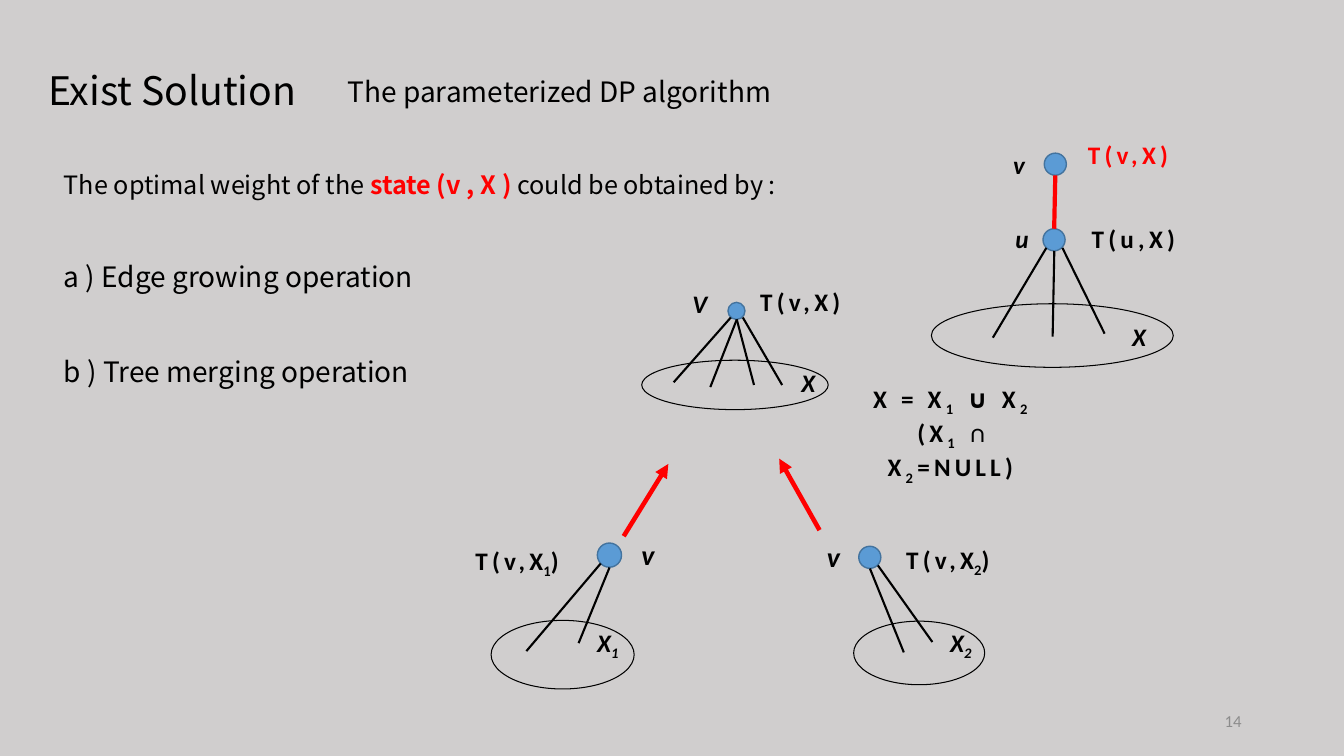
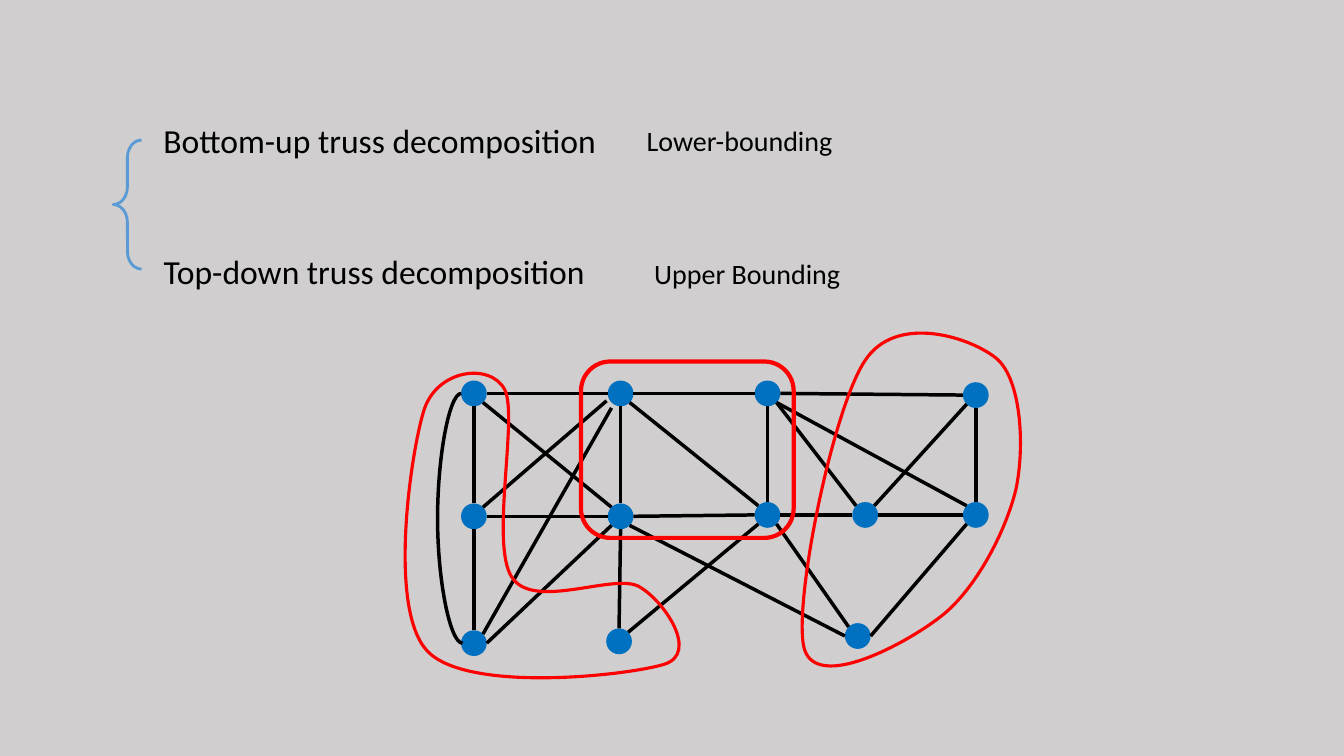
"""Builds two slides: the parameterized DP algorithm and truss decomposition."""
from lxml.etree import SubElement
from pptx import Presentation
from pptx.dml.color import RGBColor
from pptx.enum.shapes import MSO_CONNECTOR as LINK, MSO_SHAPE as PRESET
from pptx.enum.text import MSO_ANCHOR as ANCHOR, MSO_AUTO_SIZE as FIT, PP_ALIGN as ALIGN
from pptx.oxml.ns import qn
from pptx.shapes.connector import Connector
from pptx.util import Pt

THEME = {
    "back": "D0CECE", "ink": "000000", "red": "FF0000", "node": "5B9BD5",
    "node edge": "43739E", "dot": "0070C0", "muted": "8C8C8C",
    "title": 28, "heading": 24, "body": 20, "label": 18, "number": 12,
    "sans": "Calibri", "cjk": "Noto Sans CJK SC",
}
PROSE = {"name": THEME["cjk"], "size": THEME["body"], "color": THEME["ink"]}
PLAIN = {**PROSE, "name": THEME["sans"]}
LABEL = {**PLAIN, "size": THEME["label"], "bold": True, "spc": 300}
VERTEX = {**LABEL, "italic": True}
BIG_VERTEX = {**VERTEX, "size": THEME["body"]}
LEAF_SET = {**VERTEX, "spc": 0}
SUB = {"baseline": -25000}
TIGHT = {"spc": 0}


def write(shapes, box, lines, style, align=ALIGN.LEFT, wrap=True):
    """Add a text box; each line is a list of (text, style changes) runs."""
    frame = shapes.add_textbox(*map(Pt, box)).text_frame
    frame.word_wrap = wrap
    frame.auto_size = FIT.SHAPE_TO_FIT_TEXT
    for index, line in enumerate(lines):
        paragraph = frame.add_paragraph() if index else frame.paragraphs[0]
        paragraph.alignment = align
        for text, changes in line:
            run = paragraph.add_run()
            run.text = text
            look = {**style, **changes}
            run.font.color.rgb = RGBColor.from_string(look.pop("color"))
            look["size"] = Pt(look["size"])
            for key, value in look.items():
                if key in ("spc", "baseline"):
                    run.font._element.set(key, str(value))
                else:
                    setattr(run.font, key, value)
    return frame


def paint(shape, color=None, width=0, fill=None):
    """Set outline and fill, and remove the shadow."""
    if color:
        shape.line.color.rgb = RGBColor.from_string(color)
        shape.line.width = Pt(width)
    else:
        shape.line.fill.background()
    if isinstance(shape, Connector):
        SubElement(shape._element.spPr, qn("a:effectLst"))
        return shape
    shape.shadow.inherit = False
    if fill:
        shape.fill.solid()
        shape.fill.fore_color.rgb = RGBColor.from_string(fill)
    else:
        shape.fill.background()
    return shape


deck = Presentation()
deck.slide_width, deck.slide_height = Pt(960), Pt(540)
backdrop = deck.slide_master.background.fill
backdrop.solid()
backdrop.fore_color.rgb = RGBColor.from_string(THEME["back"])
blank = deck.slide_layouts[6]

solution = deck.slides.add_slide(blank).shapes
for box, text, size in [
    ((27.4, 43.9, 196.6, 41), "Exist Solution", THEME["title"]),
    ((241.2, 49.7, 329, 31.7), "The parameterized DP algorithm", THEME["body"]),
    ((38.5, 181.7, 281.5, 31.7), "a ) Edge growing operation", THEME["body"]),
    ((38.5, 249.6, 273.6, 31.7), "b ) Tree merging operation", THEME["body"]),
]:
    write(solution, box, [[(text, {})]], {**PROSE, "size": size}, wrap=False)
write(solution, (38.5, 117.4, 555.1, 28.8), [[
    ("The optimal weight of the ", {}),
    ("state (v , X ) ", {"color": THEME["red"], "bold": True}),
    ("could be obtained by :", {}),
]], {**PROSE, "size": THEME["label"]})

trees = [
    {"node": (745.9, 109.4, 15.8), "leaves": None, "branches": [],
     "labels": [((706.7, 103, 42.5, 28.8), VERTEX, [[("v", {})]])]},
    {"node": (745, 163.4, 15.8), "leaves": (665.3, 217, 172.8, 45.4),
     "branches": [(753.1, 179.3, 751.9, 240.5), (747.4, 177.1, 709.2, 241.2),
                  (758.9, 177.1, 789, 238.3)],
     "labels": [((709.9, 156.2, 40.3, 28.8), VERTEX, [[("u", {})]]),
                ((796.3, 226.1, 34.6, 37.4), VERTEX, [[("X", {})]]),
                ((763.9, 155.9, 91.4, 37.4), LABEL, [[("T(u,X)", {})]])]},
    {"node": (613.4, 390.2, 15.8), "leaves": (609.8, 443.7, 93.6, 45.4),
     "branches": [(627.1, 403.9, 666, 458.6), (621.4, 406.1, 645.6, 466)],
     "labels": [((656.4, 444.6, 59.8, 37.4), LEAF_SET, [[("X", {}), ("2", SUB)]]),
                ((577.4, 381.6, 36, 31.7), BIG_VERTEX, [[("v", {})]]),
                ((637.4, 385.2, 79.2, 28.8), LABEL,
                 [[("T(v,", {}), ("X", TIGHT), ("2", {**TIGHT, **SUB}), (")", {})]])]},
    {"node": (426.7, 387.9, 17.3), "leaves": (350.8, 443.1, 102.2, 49),
     "branches": [(429.1, 402.5, 376, 465.1), (435.4, 405.4, 413.3, 459.4)],
     "labels": [((401.8, 444.6, 64.8, 40.3), LEAF_SET, [[("X", {}), ("1", SUB)]]),
                ((446, 380.2, 33.8, 31.7), BIG_VERTEX, [[("v", {})]]),
                ((329, 385.9, 80.6, 28.8), LABEL,
                 [[("T(v,", {}), ("X", TIGHT), ("1", {**TIGHT, **SUB}), (")", {})]])]},
    {"node": (520, 216, 12.2), "leaves": (458.4, 257.3, 133.2, 35.3),
     "branches": [(526.3, 228.2, 507.4, 276.5), (522, 226.8, 481.2, 273.1),
                  (530.6, 226.8, 558.7, 275), (526.3, 228.2, 538.6, 275)],
     "labels": [((487.4, 202.3, 27.4, 28.8), VERTEX, [[("V ", {})]]),
                ((518.8, 200.9, 105.8, 28.8), LABEL, [[("T(v,X)", {})]]),
                ((565.2, 258.5, 24.5, 28.8), VERTEX, [[("X", {})]]),
                ((594.9, 270, 167.8, 51.1), LABEL, [
                    [("X = X", {}), ("1", SUB), (" ∪ X", {}), ("2", SUB)],
                    [(" ", SUB), ("(X", {}), ("1", SUB), (" ∩ X", {}), ("2", SUB),
                     ("=NULL)", {})]])]},
]
for tree in trees:
    parts = solution.add_group_shape().shapes
    left, top, size = tree["node"]
    node = parts.add_shape(PRESET.OVAL, *map(Pt, (left, top, size, size)))
    paint(node, THEME["node edge"], 1, THEME["node"])
    if tree["leaves"]:
        leaves = parts.add_shape(PRESET.OVAL, *map(Pt, tree["leaves"]))
        paint(leaves, THEME["ink"], 0.75)
    for ends in tree["branches"]:
        branch = parts.add_connector(LINK.STRAIGHT, *map(Pt, ends))
        paint(branch, THEME["ink"], 1.5)
    for box, style, lines in tree["labels"]:
        write(parts, box, lines, style, ALIGN.CENTER)

growing_edge = solution.add_connector(LINK.STRAIGHT, *map(Pt, (753.8, 125.3, 753, 163.4)))
paint(growing_edge, THEME["red"], 3)
write(solution, (765.4, 96.1, 80.6, 28.8), [[("T(v,X)", {})]],
      {**LABEL, "color": THEME["red"]}, ALIGN.CENTER)
for ends in [(445.5, 383, 477.4, 331.4), (585.4, 378.7, 556.6, 327.6)]:
    merge_arrow = paint(solution.add_connector(LINK.STRAIGHT, *map(Pt, ends)), THEME["red"], 3.25)
    SubElement(merge_arrow.line._get_or_add_ln(), qn("a:tailEnd"), type="triangle")
page_number = write(solution, (678, 500.4, 216, 28.8), [[("14", {})]],
                    {**PLAIN, "size": THEME["number"], "color": THEME["muted"]}, ALIGN.RIGHT)
page_number.auto_size = FIT.NONE
page_number.vertical_anchor = ANCHOR.MIDDLE

truss = deck.slides.add_slide(blank).shapes
DOT = 18.4
R, D = DOT / 2, 6.5
sites = {"N": (0, -R), "S": (0, R), "W": (-R, 0), "E": (R, 0),
         "NW": (-D, -D), "NE": (D, -D), "SW": (-D, D), "SE": (D, D),
         "WSW": (-10, 5.3), "SSW": (-6.5, 10.4)}
centers = {
    "a": (338.5, 281), "b": (338.5, 368.8), "c": (338.5, 459.4),
    "d": (443.3, 368.8), "e": (443.3, 281), "f": (442.2, 458.1),
    "g": (548.2, 281), "h": (548.2, 367.8), "i": (697, 282.2),
    "j": (618, 367.8), "k": (697, 367.8), "l": (612.7, 454.3),
}
for x, y in centers.values():
    dot = truss.add_shape(PRESET.OVAL, *map(Pt, (x - R, y - R, DOT, DOT)))
    paint(dot, fill=THEME["dot"])

edges = """
c N b S; b N a S; e W a E; d W b E; d SW c E; d N e S; d NW a SE; e WSW b NE;
e SSW c NE; h W d E; g W e E; h NW e SE; h N g S; f N d S; f NE h SW; j NW g SE;
j W h E; k W j E; k N i S; i W g E; i SW j NE; k NW g SE; l NW h SE; l W d SE; l E k SW
"""
for edge in edges.split(";"):
    start, start_site, end, end_site = edge.split()
    ends = [place + shift for vertex, site in ((start, start_site), (end, end_site))
            for place, shift in zip(centers[vertex], sites[site])]
    paint(truss.add_connector(LINK.STRAIGHT, *map(Pt, ends)), THEME["ink"], 2.5)

outer_edge = truss.add_connector(LINK.CURVE, *map(Pt, (329.4, 281, 330.4, 459.4)))
paint(outer_edge, THEME["ink"], 2.5)
outer_edge._element.spPr.find(qn("a:xfrm")).set("rot", "10800000")
bends = outer_edge._element.spPr.find(qn("a:prstGeom")).find(qn("a:avLst"))
SubElement(bends, qn("a:gd"), name="adj1", fmla="val 1800000")

regions = [
    ((289.4, 266.4, 195.8, 217.4), [
        (302.4, 294.5),
        (293, 326.2), (277.2, 435.6), (305.3, 465.1),
        (334.1, 495.4), (449.3, 482.4), (474.5, 474.5),
        (499.7, 466.6), (474.5, 429.1), (456.5, 419),
        (438.5, 409), (381.6, 436.3), (365.8, 412.6),
        (349.9, 389.5), (370.1, 298.8), (360.7, 278.6),
        (350.6, 258.5), (311, 263.5), (302.4, 294.5)]),
    ((573.1, 238.3, 156.2, 237.6), [
        (617.8, 257.8),
        (594.7, 292.3), (565.9, 433.4), (574.6, 463.7),
        (583.9, 493.9), (646.6, 460.1), (671.8, 440.6),
        (697, 421.2), (718.6, 379.4), (725.8, 349.2),
        (732.2, 318.2), (729.4, 271.4), (712.1, 256.3),
        (694.1, 241.2), (640.1, 223.2), (617.8, 257.8)]),
]
for (left, top, width, height), controls in regions:
    builder = truss.build_freeform(Pt(left), Pt(top))
    builder.add_line_segments([(Pt(left + width), Pt(top + height))], close=True)
    region = paint(builder.convert_to_shape(), THEME["red"], 2.25)
    outline = next(region._element.iter(qn("a:path")))
    for segment in list(outline):
        outline.remove(segment)
    for index, (x, y) in enumerate(controls):
        if index == 0:
            curve = SubElement(outline, qn("a:moveTo"))
        elif index % 3 == 1:
            curve = SubElement(outline, qn("a:cubicBezTo"))
        SubElement(curve, qn("a:pt"), x=str(Pt(x - left)), y=str(Pt(y - top)))
    SubElement(outline, qn("a:close"))

core = truss.add_shape(PRESET.ROUNDED_RECTANGLE, *map(Pt, (415, 258.2, 151.9, 126)))
paint(core, THEME["red"], 3)
brace = truss.add_shape(PRESET.LEFT_BRACE, *map(Pt, (80.9, 100, 20.2, 92.2)))
brace.adjustments[0] = 0.62
paint(brace, THEME["node"], 2)
for box, text, size in [
    ((109.7, 82.1, 326.9, 36), "Bottom-up truss decomposition", THEME["heading"]),
    ((109.7, 175.7, 318.2, 36), "Top-down truss decomposition", THEME["heading"]),
    ((454.8, 84.6, 149, 31.7), "Lower-bounding", THEME["body"]),
    ((460.2, 179.7, 148.3, 31.7), "Upper Bounding", THEME["body"]),
]:
    write(truss, box, [[(text, {})]], {**PLAIN, "size": size}, wrap=False)

deck.save("out.pptx")
